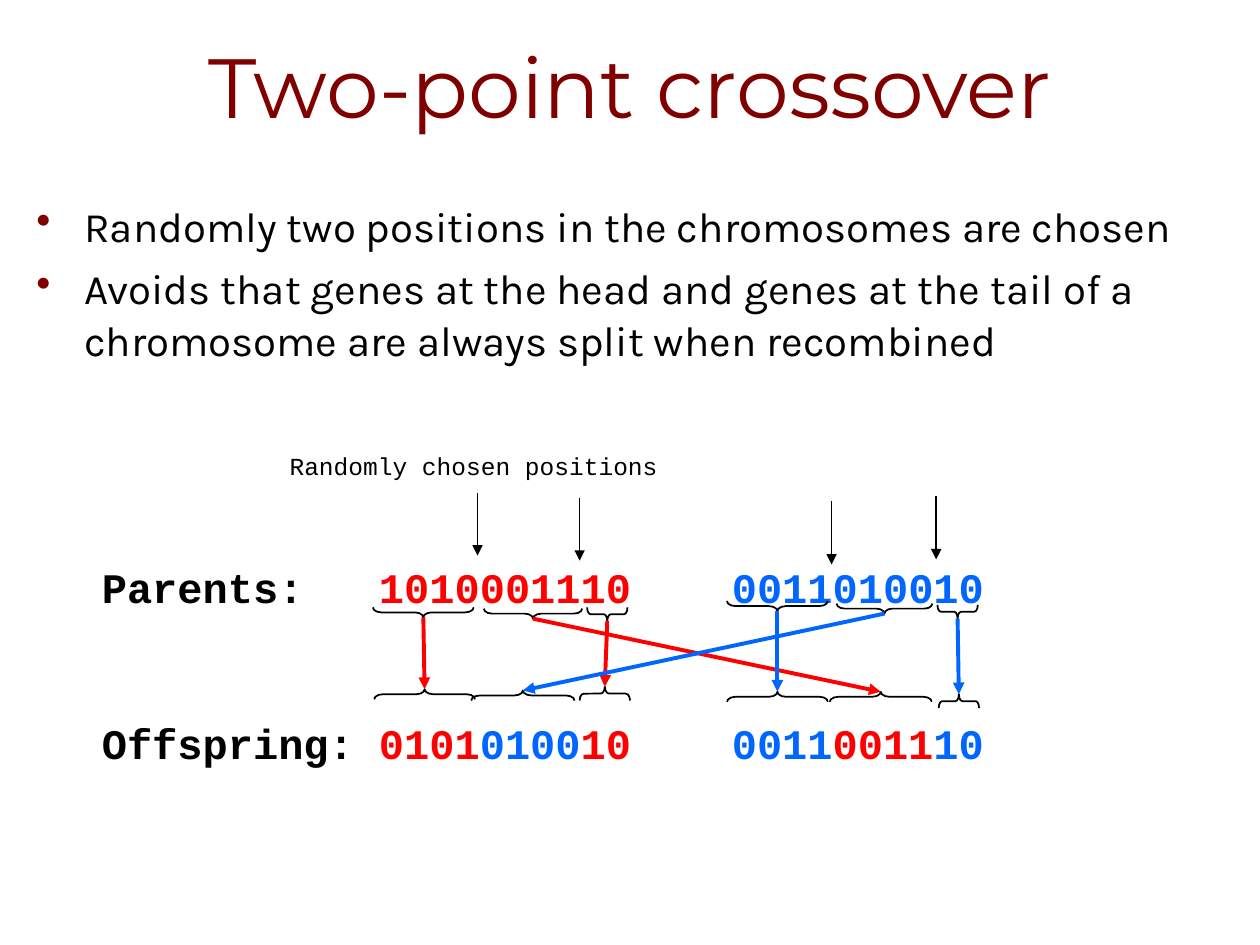
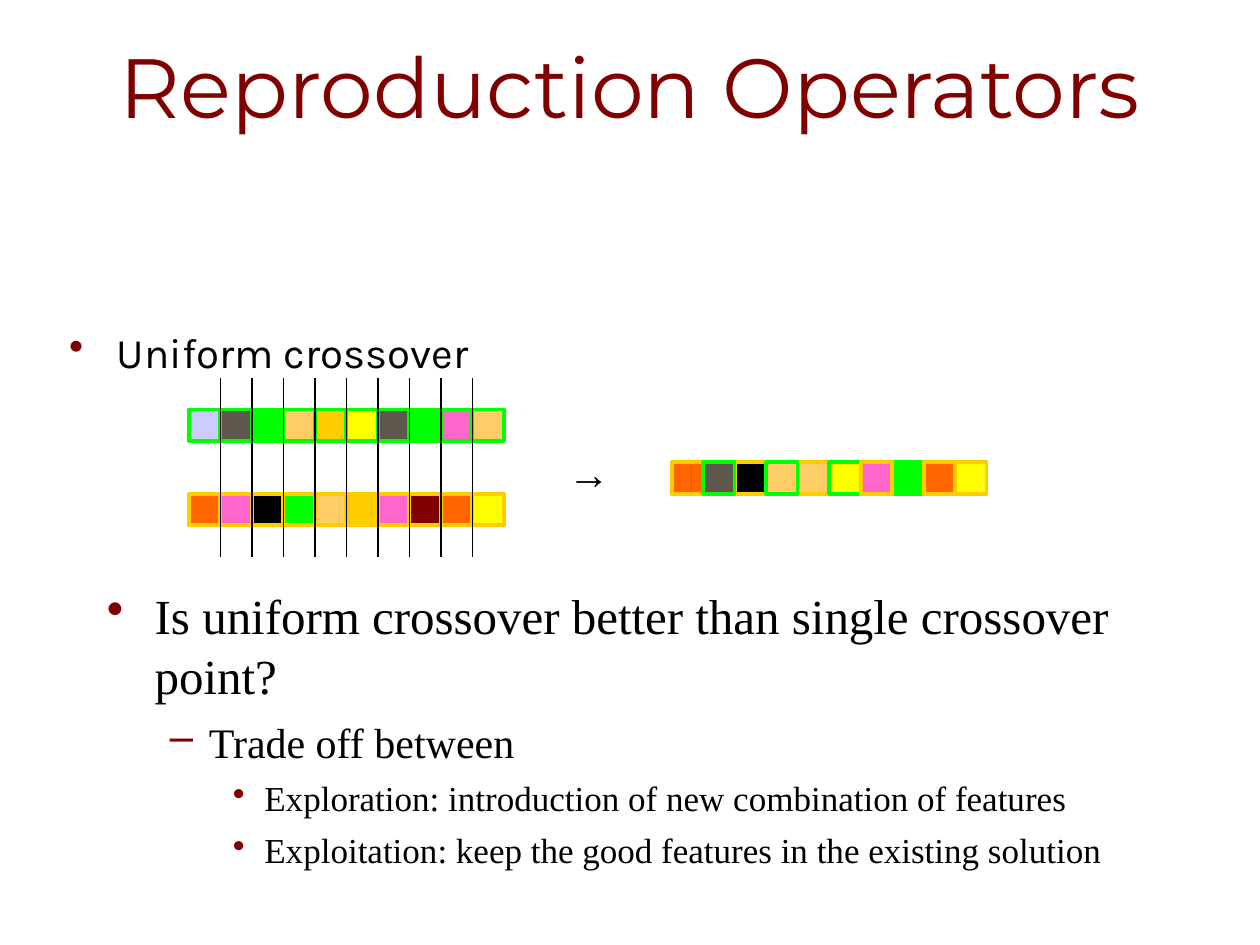
from lxml import etree
from pptx import Presentation
from pptx.dml.color import RGBColor
from pptx.enum.shapes import MSO_CONNECTOR, MSO_SHAPE
from pptx.enum.text import MSO_ANCHOR, PP_ALIGN
from pptx.oxml.ns import qn
from pptx.util import Inches, Pt

STRAIGHT = MSO_CONNECTOR.STRAIGHT
RECTANGLE, BRACE = MSO_SHAPE.RECTANGLE, MSO_SHAPE.LEFT_BRACE
TOP, BOTTOM = MSO_ANCHOR.TOP, MSO_ANCHOR.BOTTOM
LEFT, CENTER = PP_ALIGN.LEFT, PP_ALIGN.CENTER

WIDTH, HEIGHT = 10, 7.5
MAROON, BLACK = "800000", "000000"
RED, BLUE = "FF0000", "0066FF"
GREEN, GOLD = "00FF00", "FFCC00"
ORANGE, PINK, PEACH = "FF6600", "FF66CC", "FFCC66"
YELLOW, GREY, LILAC = "FFFF00", "5E574E", "CCCCFF"

# bullet, left margin, hanging indent (inches), space before (points)
LEVELS = [("•", 0.38, 0.38, 6), ("–", 0.81, 0.31, 6), ("•", 1.25, 0.25, 5)]


def paint(fill, color):
    fill.solid()
    fill.fore_color.rgb = RGBColor.from_string(color)


def write(page, place, lines, font, size, color=BLACK, bold=False, align=LEFT,
          anchor=TOP, top_inset=0.05, gap=0, spacing=1.0, levels=None,
          tabs=(), wrap=True):
    """Add a text box; a line is a string or a list of (text, color) spans."""
    box = page.shapes.add_textbox(*map(Inches, place))
    frame = box.text_frame
    frame.word_wrap = wrap
    frame.vertical_anchor = anchor
    frame.margin_top = Inches(top_inset)
    for index, line in enumerate(lines):
        para = frame.add_paragraph() if index else frame.paragraphs[0]
        para.alignment = align
        para.line_spacing = spacing
        level = levels[index] if levels else 0
        if index:
            para.space_before = Pt(LEVELS[level][3] if levels else gap)
        spans = [(line, color)] if isinstance(line, str) else line
        for text, span_color in spans:
            span = para.add_run()
            span.text = text
            span.font.name = font
            span.font.size = Pt(size - 4 * level)
            span.font.bold = bold
            paint(span.font.fill, span_color)
        props = para._p.get_or_add_pPr()
        if levels:
            para.level = level
            mark, margin, hanging, _ = LEVELS[level]
            props.set("marL", str(Inches(margin)))
            props.set("indent", str(-Inches(hanging)))
            tint = etree.SubElement(props, qn("a:buClr"))
            etree.SubElement(tint, qn("a:srgbClr"), val=MAROON)
            etree.SubElement(props, qn("a:buChar"), char=mark)
        if tabs:
            stops = etree.SubElement(props, qn("a:tabLst"))
            for stop in tabs:
                etree.SubElement(stops, qn("a:tab"), pos=str(Inches(stop)), algn="l")


deck = Presentation()
deck.slide_width, deck.slide_height = Inches(WIDTH), Inches(HEIGHT)
pages = []
for title in ("Two-point crossover", "Reproduction Operators"):
    page = deck.slides.add_slide(deck.slide_layouts[6])
    paint(page.background.fill, "FFFFFF")
    write(page, (0, 0, WIDTH, 0.15 * HEIGHT), [title], "Montserrat", 48,
          color=MAROON, align=CENTER, anchor=BOTTOM)
    pages.append(page)
two_point, uniform = pages
lines = []  # page, start, end, color, width, arrowhead

# Two-point crossover
write(two_point, (0.71, 3.71, 8.5, 3.33), [
    [("Parents:\t", BLACK), ("1010001110\t", RED), ("0011010010", BLUE)],
    [("Offspring:\t", BLACK), ("0101", RED), ("0100", BLUE), ("10\t", RED),
     ("0011", BLUE), ("0011", RED), ("10", BLUE)],
], "Courier New", 24, bold=True, top_inset=0.75, gap=60, tabs=(2.2, 5))
write(two_point, (2.2, 3.52, 3.34, 0.34), ["Randomly chosen positions"],
      "Courier New", 14, spacing=1.03)
write(two_point, (0.19, 1.53, 9.55, 5.78), [
    "Randomly two positions in the chromosomes are chosen",
    "Avoids that genes at the head and genes at the tail of a chromosome "
    "are always split when recombined",
], "Karla", 24, spacing=1.03, levels=(0, 0))

for x, y in ((3.79, 3.91), (4.6, 3.95), (6.6, 3.98), (7.43, 3.94)):
    lines.append((two_point, (x, y), (x, y + 0.5), BLACK, 1, True))

# Each brace: x and y of its tip, length, depth
parent_braces = [(3.36, 4.9, 0.8, 0.08), (4.23, 4.91, 0.78, 0.08),
                 (4.82, 4.93, 0.32, 0.11), (6.17, 4.85, 0.8, 0.08),
                 (7.02, 4.87, 0.76, 0.08), (7.6, 4.91, 0.32, 0.11)]
offspring_braces = [(3.37, 5.47, 0.8, 0.08), (4.15, 5.48, 0.82, 0.08),
                    (4.8, 5.45, 0.4, 0.11), (6.17, 5.49, 0.8, 0.08),
                    (6.99, 5.49, 0.81, 0.08), (7.61, 5.51, 0.32, 0.11)]
for braces, rotation, side in ((parent_braces, 270, -1), (offspring_braces, 90, 1)):
    for x, y, length, depth in braces:
        middle = y + side * depth / 2
        brace = two_point.shapes.add_shape(
            BRACE, Inches(x - depth / 2), Inches(middle - length / 2),
            Inches(depth), Inches(length))
        brace.rotation = rotation
        brace.adjustments[0] = length / depth / 12
        brace.shadow.inherit = False
        brace.fill.background()
        paint(brace.line.fill, BLACK)
        brace.line.width = Pt(1)

# The middle segments swap places
for parent, child in enumerate((0, 4, 2, 3, 1, 5)):
    lines.append((two_point, parent_braces[parent][:2], offspring_braces[child][:2],
                  RED if parent < 3 else BLUE, 2.25, True))

# Uniform crossover
CELL = 0.25
first = [LILAC, GREY, GREEN, PEACH, GOLD, YELLOW, GREY, GREEN, PINK, PEACH]
second = [ORANGE, PINK, BLACK, GREEN, PEACH, GOLD, PINK, MAROON, ORANGE, YELLOW]
cells = [(1.5, 3.92, column, second, GOLD) for column in range(10)]
cells += [(1.5, 3.25, column, first, GREEN) for column in range(10)]
from_first = (1, 3, 5, 7)
for column in (0, 2, 4, 1, 3, 5, 7, 6, 8, 9):
    parent, border = (first, GREEN) if column in from_first else (second, GOLD)
    cells.append((5.33, 3.67, column, parent, border))

write(uniform, (0.45, 2.53, 9.02, 0.92), ["Uniform crossover"], "Karla", 24,
      spacing=1.03, levels=(0,))
for left, top, column, genes, border in cells:
    cell = uniform.shapes.add_shape(
        RECTANGLE, Inches(left + column * CELL), Inches(top), Inches(CELL), Inches(CELL))
    cell.shadow.inherit = False
    paint(cell.fill, genes[column])
    paint(cell.line.fill, border)
    cell.line.width = Pt(2.25)
for column in range(1, 10):
    x = 1.5 + column * CELL
    lines.append((uniform, (x, 3), (x, 4.42), BLACK, 1, False))

write(uniform, (4.41, 3.5, 0.53, 0.5), ["→"], "Arial", 24, wrap=False)
write(uniform, (0.75, 4.58, 8.5, 2.25), [
    "Is uniform crossover better than single crossover point?",
    "Trade off between",
    "Exploration: introduction of new combination of features",
    "Exploitation: keep the good features in the existing solution",
], "Times New Roman", 28, spacing=1.03, levels=(0, 1, 2, 2))

# Lines and arrows of both slides
for page, start, end, color, width, arrowhead in lines:
    line = page.shapes.add_connector(STRAIGHT, *map(Inches, start + end))
    paint(line.line.fill, color)
    line.line.width = Pt(width)
    if arrowhead:
        etree.SubElement(line.line._get_or_add_ln(), qn("a:tailEnd"), type="triangle")
    etree.SubElement(line._element.spPr, qn("a:effectLst"))

deck.save("out.pptx")
